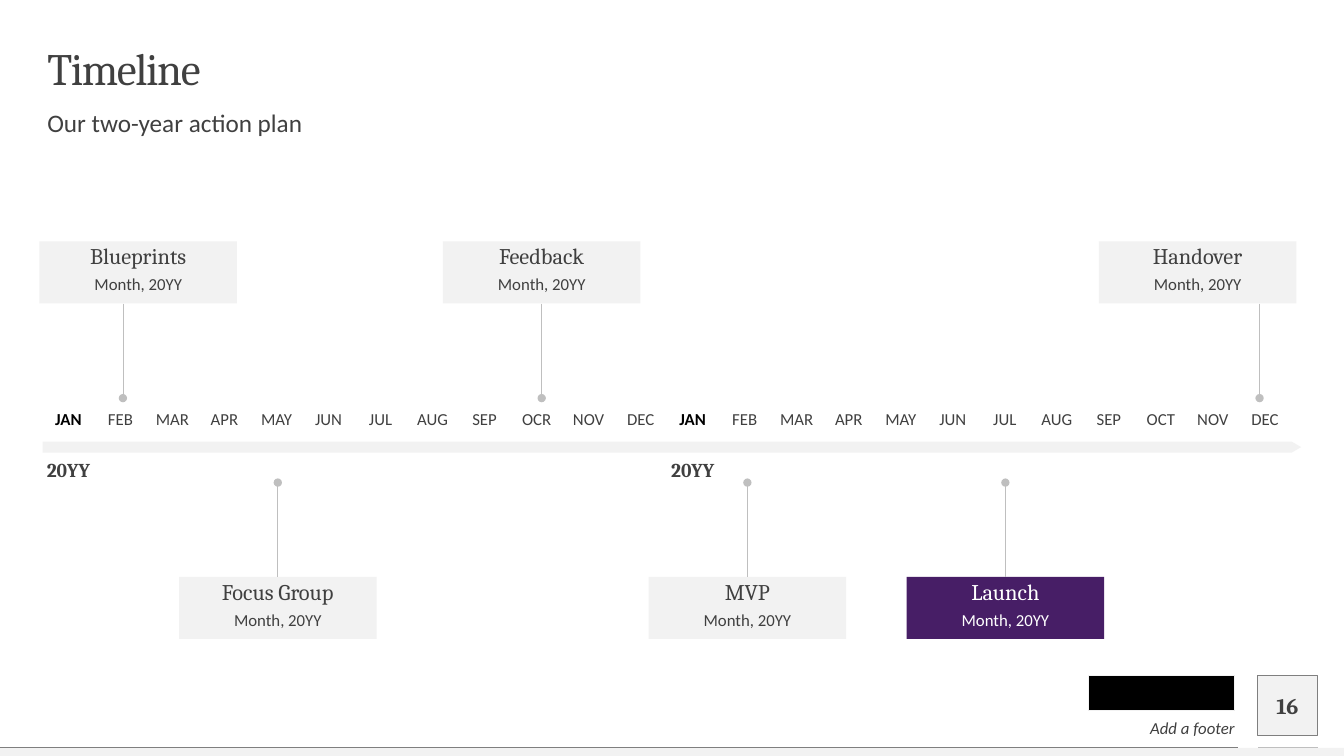
"""Build a two-year timeline slide with dated milestone cards."""
from lxml.etree import SubElement
from pptx import Presentation
from pptx.dml.color import RGBColor
from pptx.enum.shapes import MSO_CONNECTOR as Link, MSO_SHAPE as Kind
from pptx.enum.text import MSO_ANCHOR as Anchor, MSO_AUTO_SIZE as Fit, PP_ALIGN as Align
from pptx.oxml.ns import qn
from pptx.util import Pt

HUES = {
    "ink": "404040", "black": "000000", "white": "FFFFFF", "pale": "F2F2F2",
    "grey": "BFBFBF", "plum": "471E66", "steel": "7F7F7F",
}
HEAD, BODY = "Cambria", "Calibri"
MONTHS = [
    "JAN", "FEB", "MAR", "APR", "MAY", "JUN", "JUL", "AUG", "SEP", "OCR", "NOV", "DEC",
    "JAN", "FEB", "MAR", "APR", "MAY", "JUN", "JUL", "AUG", "SEP", "OCT", "NOV", "DEC",
]
STEP = 37.16
CARD_W, CARD_H = 141.1, 44.3
HIGH, LOW = 172.5, 412
CARDS = [
    ("Blueprints", 28.2, HIGH, 87.8, "pale", "ink"),
    ("Focus Group", 127.9, LOW, None, "pale", "ink"),
    ("Feedback", 316.4, HIGH, None, "pale", "ink"),
    ("MVP", 463.3, LOW, None, "pale", "ink"),
    ("Launch", 647.6, LOW, None, "plum", "white"),
    ("Handover", 784.9, HIGH, 899.7, "pale", "ink"),
]


def tint(name):
    return RGBColor.from_string(HUES[name])


def place(shape, x, y, w, h):
    shape.left, shape.top, shape.width, shape.height = Pt(x), Pt(y), Pt(w), Pt(h)
    return shape


def write(shape, words, size=12, font=BODY, hue="ink", bold=False, italic=False,
          align=Align.CENTER, anchor=Anchor.TOP, inset=0, lead=0.9, gap=10):
    frame = shape.text_frame
    frame.auto_size = Fit.NONE
    frame.word_wrap = True
    frame.vertical_anchor = anchor
    frame.margin_left = frame.margin_right = frame.margin_bottom = 0
    frame.margin_top = Pt(inset)
    para = frame.paragraphs[0]
    para.alignment, para.line_spacing, para.space_before = align, lead, Pt(gap)
    run = para.add_run()
    run.text = words
    face = run.font
    face.name, face.size, face.bold, face.italic = font, Pt(size), bold, italic
    face.color.rgb = tint(hue)
    return run


def label(slide, words, x, y, w, h, **form):
    box = slide.shapes.add_textbox(Pt(x), Pt(y), Pt(w), Pt(h))
    write(box, words, **form)


def block(slide, x, y, w, h, fill, line=None, width=0.25, kind=Kind.RECTANGLE):
    shape = slide.shapes.add_shape(kind, Pt(x), Pt(y), Pt(w), Pt(h))
    shape.shadow.inherit = False
    shape.fill.solid()
    shape.fill.fore_color.rgb = tint(fill)
    if line:
        shape.line.color.rgb = tint(line)
        shape.line.width = Pt(width)
    else:
        shape.line.fill.background()
    return shape


def rule(slide, x, y, to_x, to_y, hue="grey", dot=False):
    line = slide.shapes.add_connector(Link.STRAIGHT, Pt(x), Pt(y), Pt(to_x), Pt(to_y))
    line.line.color.rgb = tint(hue)
    line.line.width = Pt(0.5)
    if dot:
        SubElement(line.line._get_or_add_ln(), qn("a:tailEnd"), type="oval")
    SubElement(line._element.spPr, qn("a:effectLst"))
    return line


def card(slide, name, x, y, stem, fill, hue):
    box = block(slide, x, y, CARD_W, CARD_H, fill)
    write(box, name, size=16, font=HEAD, hue=hue, inset=2.9)
    label(slide, "Month, 20YY", x + 4, y + 24.9, 133.2, 18, hue=hue)
    high = y == HIGH
    start, end = (y + CARD_H, 284.4) if high else (y, 344.7)
    mid = stem or x + CARD_W / 2
    line = rule(slide, mid, start, mid, end, dot=True)
    if stem is None:
        line.begin_connect(box, 2 if high else 0)


def header(slide):
    title = place(slide.shapes.title, 33.8, 33.8, 892.8, 33.8)
    run = write(title, "Timeline", size=32, font=HEAD, align=Align.LEFT,
                anchor=Anchor.MIDDLE, gap=0)
    run._r.get_or_add_rPr().set("spc", "-100")
    lead = place(slide.placeholders[1], 33.8, 79.2, 892.8, 28.1)
    write(lead, "Our two-year action plan", size=18, align=Align.LEFT)
    props = lead.text_frame.paragraphs[0]._p.get_or_add_pPr()
    props.set("marL", "0")
    props.set("indent", "0")
    SubElement(props, qn("a:buNone"))


def footer(slide):
    block(slide, 898.2, 482.4, 42.8, 42.8, "pale", "steel")
    block(slide, 0, 534.2, 960, 5.8, "pale")
    rule(slide, 898.6, 533.8, 941.4, 533.8)
    rule(slide, 0, 534, 884.2, 534, hue="steel")
    block(slide, 777.6, 482.4, 104.4, 25.2, "black", "pale", 0.75)
    label(slide, "Add a footer", 558, 510.7, 324, 16.6, italic=True,
          align=Align.RIGHT, anchor=Anchor.BOTTOM, lead=1, gap=0)
    label(slide, "16", 898.2, 489.6, 42.8, 28.8, size=16, font=HEAD, bold=True,
          anchor=Anchor.MIDDLE, lead=1, gap=0)


def axis(slide):
    arrow = block(slide, 30.4, 315.4, 899, 7.9, "pale", kind=Kind.RIGHT_ARROW)
    arrow.adjustments[0], arrow.adjustments[1] = 1, 0.86
    for i, month in enumerate(MONTHS):
        first = month == "JAN"
        label(slide, month, 34.1 + STEP * i, 293.5, 29.5, 15.8,
              hue="black" if first else "ink", bold=first)
        if first:
            label(slide, "20YY", 24.9 + STEP * i, 328.3, 48.2, 15.8, size=14,
                  font=HEAD, bold=True, anchor=Anchor.MIDDLE)


def main():
    deck = Presentation()
    deck.slide_width, deck.slide_height = Pt(960), Pt(540)
    slide = deck.slides.add_slide(deck.slide_layouts[1])
    header(slide)
    footer(slide)
    axis(slide)
    for item in CARDS:
        card(slide, *item)
    deck.save("out.pptx")


if __name__ == "__main__":
    main()
